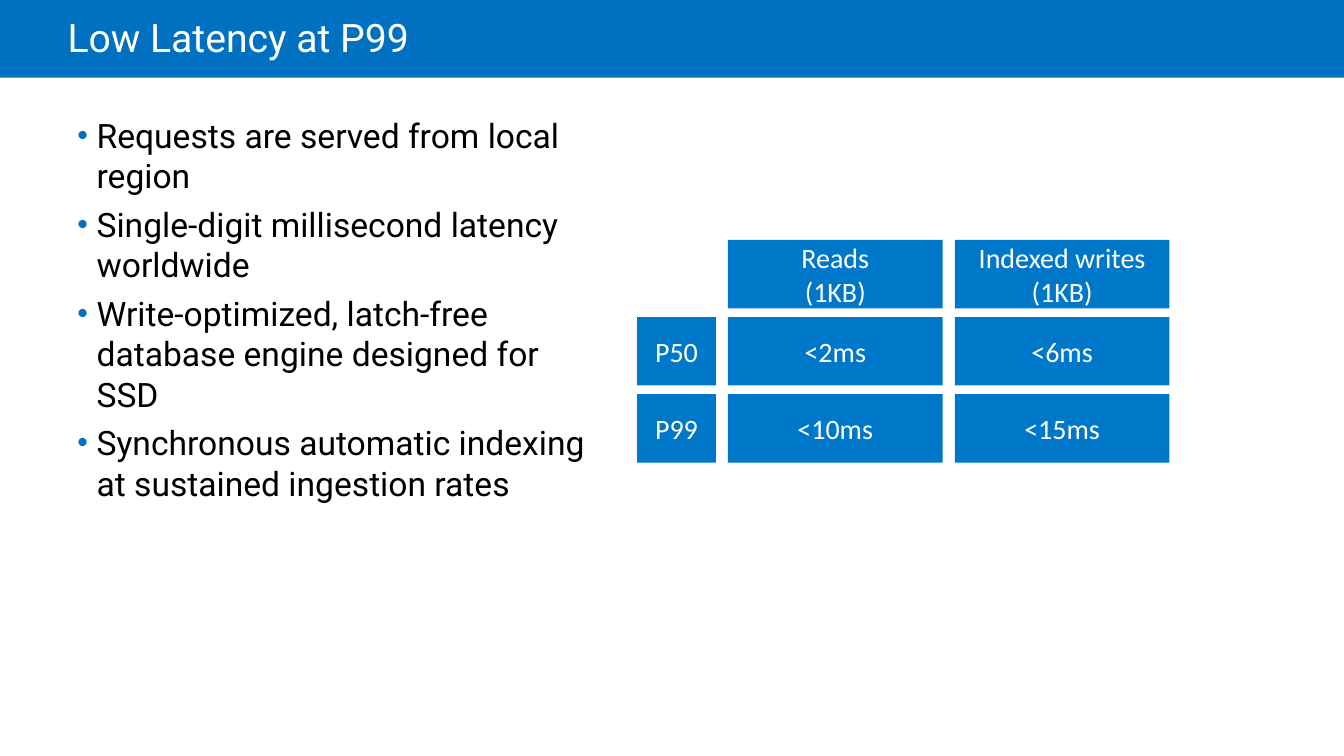
from lxml import etree
from pptx import Presentation
from pptx.dml.color import RGBColor
from pptx.enum.shapes import MSO_SHAPE as SHAPE
from pptx.enum.text import MSO_ANCHOR as ANCHOR, PP_ALIGN as ALIGN
from pptx.oxml.ns import qn
from pptx.util import Inches, Pt

BAND_BLUE = RGBColor(0x00, 0x70, 0xC0)
CELL_BLUE = RGBColor(0x00, 0x78, 0xC9)
WHITE = RGBColor(0xFF, 0xFF, 0xFF)
BLACK = RGBColor(0x00, 0x00, 0x00)

prs = Presentation()
prs.slide_width = Inches(13.33)
prs.slide_height = Inches(7.5)
slide = prs.slides.add_slide(prs.slide_layouts[6])


def add_block(left, top, width, height, color):
    block = slide.shapes.add_shape(
        SHAPE.RECTANGLE, Inches(left), Inches(top), Inches(width), Inches(height))
    block.shadow.inherit = False
    block.fill.solid()
    block.fill.fore_color.rgb = color
    block.line.fill.background()
    return block


def set_font(paragraph, name, size, color):
    paragraph.font.name = name
    paragraph.font.size = Pt(size)
    paragraph.font.color.rgb = color


add_block(0, 0, 13.33, 0.77, BAND_BLUE)

title = slide.shapes.add_textbox(Inches(0.67), 0, Inches(11.34), Inches(0.81)).text_frame
title.word_wrap = True
title.vertical_anchor = ANCHOR.MIDDLE
title.margin_left = 0
title.text = "Low Latency at P99"
title.paragraphs[0].line_spacing = 0.85
set_font(title.paragraphs[0], "Roboto", 28, WHITE)

benefits = slide.shapes.add_textbox(
    Inches(0.67), Inches(1.09), Inches(5.34), Inches(4.8)).text_frame
benefits.word_wrap = True
benefits.text = "\n".join([
    "Requests are served from local region",
    "Single-digit millisecond latency worldwide",
    "Write-optimized, latch-free database engine designed for SSD",
    "Synchronous automatic indexing at sustained ingestion rates",
])
for index, benefit in enumerate(benefits.paragraphs):
    if index:
        benefit.space_before = Pt(6)
    props = benefit._p.get_or_add_pPr()
    props.set("marL", str(Inches(0.19)))
    props.set("indent", str(-Inches(0.19)))
    bullet_color = etree.SubElement(props, qn("a:buClr"))
    etree.SubElement(bullet_color, qn("a:srgbClr"), val=str(BAND_BLUE))
    etree.SubElement(props, qn("a:buSzPct"), val="90000")
    etree.SubElement(props, qn("a:buFont"), typeface="Arial")
    etree.SubElement(props, qn("a:buChar"), char="•")
    set_font(benefit, "Roboto", 24, BLACK)

columns = [(6.32, 0.78), (7.22, 2.13), (9.47, 2.13)]
latencies = [
    ("", "Reads\n(1KB)", "Indexed writes\n(1KB)"),
    ("P50", "<2ms", "<6ms"),
    ("P99", "<10ms", "<15ms"),
]
GRID_TOP, ROW_STEP, ROW_HEIGHT = 2.38, 0.765, 0.68
for row, labels in enumerate(latencies):
    for (left, width), label in zip(columns, labels):
        if not label:
            continue
        cell = add_block(left, GRID_TOP + row * ROW_STEP, width, ROW_HEIGHT, CELL_BLUE).text_frame
        cell.margin_left = cell.margin_right = 0
        cell.vertical_anchor = ANCHOR.MIDDLE
        cell.text = label
        for line in cell.paragraphs:
            line.alignment = ALIGN.CENTER
            set_font(line, "Calibri", 20, WHITE)

prs.save("out.pptx")
